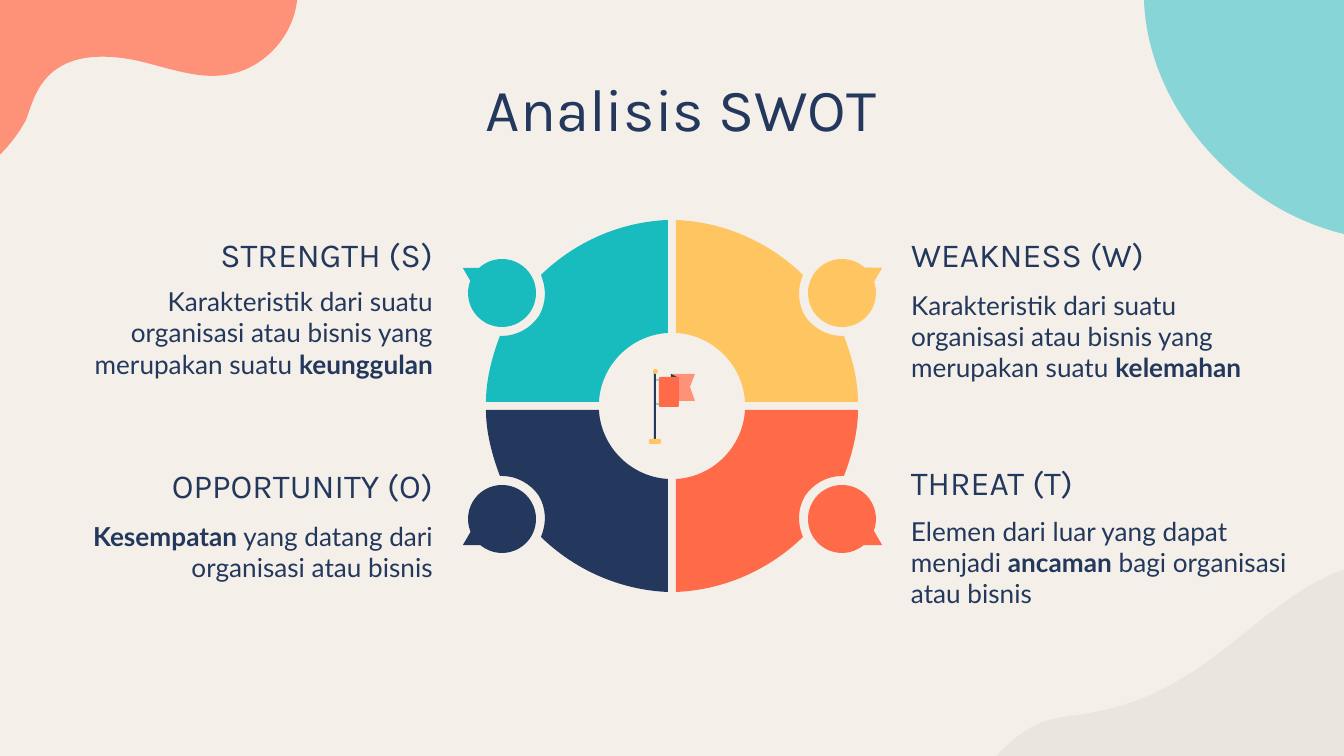
"""Build a SWOT analysis slide with a four-part ring around a flag."""
from dataclasses import dataclass

from pptx import Presentation
from pptx import util as u
from pptx.dml import color
from pptx.enum import shapes, text
from pptx.oxml import ns, xmlchemy

SCALE = 9144000 / 1344
CENTRE = (672, 406)
BADGE_X, BADGE_Y, BADGE = 170, 113, 68
TIP_X, TIP_Y, TIP_W, TIP_H = 198, 132, 31, 27
INSET = 13
KIND = shapes.MSO_SHAPE
ALIGN = text.PP_ALIGN
ANCHOR = text.MSO_ANCHOR


@dataclass(frozen=True)
class Theme:
    """Colours, fonts and type sizes."""
    paper: str = "F4F0E9"
    navy: str = "23385C"
    teal: str = "18BCBE"
    aqua: str = "87D5D6"
    yellow: str = "FFC561"
    orange: str = "FF6B48"
    coral: str = "FD9279"
    sand: str = "EBE6DD"
    head_font: str = "Karla"
    body_font: str = "Lato"
    title_size: int = 32
    head_size: int = 18
    body_size: int = 14


THEME = Theme()


@dataclass(frozen=True)
class Box:
    """A rectangle in px."""
    left: int
    top: int
    width: int
    height: int


@dataclass(frozen=True)
class Span:
    """A stretch of text of one weight."""
    words: str
    bold: bool = False


@dataclass(frozen=True)
class Quarter:
    """One part of the ring with its heading and description."""
    side: int
    level: int
    fill: str
    turn: int
    head: str
    head_box: Box
    body: tuple[Span, ...]
    body_box: Box


@dataclass(frozen=True)
class Outline:
    """A closed path whose steps are lines (2 numbers) or cubic curves (6)."""
    fill: str
    steps: tuple[tuple[int, ...], ...]


@dataclass(frozen=True)
class Part:
    """A preset shape."""
    kind: shapes.MSO_SHAPE
    box: Box
    fill: str


BLOBS = (
    Outline(THEME.coral, (
        (-38, 181), (-11, 169, 12, 146, 26, 120), (31, 106, 35, 92, 44, 81),
        (65, 54, 102, 54, 134, 60), (167, 67, 199, 81, 231, 74),
        (265, 67, 293, 36, 297, 1), (300, -23, 292, -47, 278, -67),
        (262, -90, 243, -106, 223, -122), (149, -179, 65, -220, -26, -250),
        (-233, -112))),
    Outline(THEME.aqua, (
        (1410, 242), (1426, 242, 1441, 241, 1454, 239),
        (1461, 238, 1469, 237, 1476, 235), (1476, -27), (1145, -27),
        (1138, 38, 1165, 116, 1234, 176), (1292, 227, 1356, 242, 1410, 242))),
    Outline(THEME.sand, (
        (1413, 558), (1471, 558, 1530, 581, 1568, 624),
        (1597, 653, 1617, 692, 1654, 711), (1676, 720, 1702, 723, 1724, 730),
        (1762, 742, 1796, 767, 1812, 801), (1830, 836, 1835, 877, 1824, 914),
        (968, 907), (958, 903), (943, 863, 956, 816, 980, 778),
        (995, 755, 1015, 734, 1040, 723), (1057, 716, 1077, 716, 1095, 712),
        (1122, 707, 1148, 698, 1172, 684), (1227, 655, 1270, 604, 1326, 577),
        (1353, 564, 1382, 558, 1413, 558))),
)
SECTOR = ((73, 4), (71, 41, 41, 71, 4, 73), (4, 186), (52, 184, 97, 164, 131, 131),
          (125, 117, 126, 102, 133, 90), (141, 78, 155, 70, 170, 70), (172, 70),
          (180, 49, 186, 26, 186, 4))
TRAIT = "Karakteristik dari suatu organisasi atau bisnis yang merupakan suatu "
QUARTERS = (
    Quarter(-1, 1, THEME.navy, 240, "OPPORTUNITY (O)", Box(47, 452, 399, 66),
            (Span("Kesempatan", True),
             Span(" yang datang dari organisasi atau bisnis")), Box(58, 514, 388, 75)),
    Quarter(1, 1, THEME.orange, 120, "THREAT (T)", Box(898, 449, 309, 66),
            (Span("Elemen dari luar yang dapat menjadi "), Span("ancaman", True),
             Span(" bagi organisasi atau bisnis")), Box(898, 513, 409, 98)),
    Quarter(1, -1, THEME.yellow, 60, "WEAKNESS (W)", Box(898, 221, 419, 66),
            (Span(TRAIT), Span("kelemahan", True)), Box(898, 283, 399, 106)),
    Quarter(-1, -1, THEME.teal, 300, "STRENGTH (S)", Box(58, 221, 388, 66),
            (Span(TRAIT), Span("keunggulan", True)), Box(47, 283, 399, 99)),
)
RIBBON = Outline(THEME.coral, ((671, 374), (671, 401), (695, 401), (690, 387), (695, 374)))
FOLD = Outline(THEME.navy, ((671, 374), (671, 379), (679, 379), (679, 378)))
FLAG = (
    Part(KIND.RECTANGLE, Box(655, 379, 5, 2), THEME.aqua),
    Part(KIND.RECTANGLE, Box(655, 403, 5, 2), THEME.aqua),
    Part(KIND.ROUNDED_RECTANGLE, Box(659, 377, 20, 30), THEME.orange),
    Part(KIND.RECTANGLE, Box(654, 372, 2, 68), THEME.navy),
    Part(KIND.ROUNDED_RECTANGLE, Box(649, 439, 12, 5), THEME.yellow),
    Part(KIND.OVAL, Box(653, 369, 5, 5), THEME.yellow),
)


def px(length: float) -> int:
    """Turn px into EMU."""
    return round(length * SCALE)


def paint(shape, fill: str) -> None:
    """Give a shape a flat fill with no line or shadow."""
    shape.shadow.inherit = False
    shape.fill.solid()
    shape.fill.fore_color.rgb = color.RGBColor.from_string(fill)
    shape.line.fill.background()


def draw_outline(page, outline: Outline) -> None:
    """Draw a closed path, joining each three curve points into one cubic."""
    start, *steps = outline.steps
    builder = page.shapes.build_freeform(px(start[0]), px(start[1]))
    for step in steps:
        points = [(px(x), px(y)) for x, y in zip(step[::2], step[1::2])]
        builder.add_line_segments(points, close=False)
    builder.add_line_segments([], close=True)
    shape = builder.convert_to_shape()
    lines = iter(list(shape.element.iter(ns.qn("a:lnTo"))))
    for step in steps:
        group = [next(lines) for _ in range(len(step) // 2)]
        if len(group) == 3:
            curve = xmlchemy.OxmlElement("a:cubicBezTo")
            group[0].addprevious(curve)
            for line in group:
                curve.append(line[0])
                line.getparent().remove(line)
    paint(shape, outline.fill)


def draw_preset(page, part: Part, turn: int = 0) -> None:
    """Draw a preset shape."""
    box = part.box
    shape = page.shapes.add_shape(
        part.kind, px(box.left), px(box.top), px(box.width), px(box.height))
    shape.rotation = turn
    paint(shape, part.fill)
    if part.kind == KIND.ROUNDED_RECTANGLE:
        shape.adjustments[0] = round(1.5 / min(box.width, box.height), 2)


def write(page, box: Box, spans, font: str, size: int, align, anchor) -> None:
    """Place a text box with one paragraph."""
    frame = page.shapes.add_textbox(
        px(box.left), px(box.top), px(box.width), px(box.height)).text_frame
    frame.word_wrap = True
    frame.vertical_anchor = anchor
    frame.margin_left = frame.margin_right = px(INSET)
    frame.margin_top = frame.margin_bottom = px(INSET)
    para = frame.paragraphs[0]
    para.alignment = align
    para.font.name = font
    para.font.size = u.Pt(size)
    para.font.color.rgb = color.RGBColor.from_string(THEME.navy)
    for span in spans:
        run = para.add_run()
        run.text = span.words
        if span.bold:
            run.font.bold = True


def draw_quarter(page, quarter: Quarter) -> None:
    """Draw a ring part with its badge and pointer."""
    flips = (quarter.side, quarter.level)

    def centred(kind, x: int, y: int, width: int, height: int) -> Part:
        """Place a shape by its offset from the ring centre."""
        left = CENTRE[0] + quarter.side * x - width // 2
        top = CENTRE[1] + quarter.level * y - height // 2
        return Part(kind, Box(left, top, width, height), quarter.fill)

    steps = tuple(tuple(CENTRE[i % 2] + flips[i % 2] * value for i, value in enumerate(step))
                  for step in SECTOR)
    draw_outline(page, Outline(quarter.fill, steps))
    draw_preset(page, centred(KIND.OVAL, BADGE_X, BADGE_Y, BADGE, BADGE))
    draw_preset(page, centred(KIND.ISOSCELES_TRIANGLE, TIP_X, TIP_Y, TIP_W, TIP_H),
                quarter.turn)


def write_quarter(page, quarter: Quarter) -> None:
    """Write the heading and description of a ring part."""
    align = ALIGN.RIGHT if quarter.side < 0 else ALIGN.LEFT
    write(page, quarter.head_box, (Span(quarter.head),), THEME.head_font,
          THEME.head_size, align, ANCHOR.BOTTOM)
    write(page, quarter.body_box, quarter.body, THEME.body_font,
          THEME.body_size, align, ANCHOR.MIDDLE)


def main() -> None:
    """Build and save the deck."""
    deck = Presentation()
    deck.slide_width, deck.slide_height = px(1344), px(756)
    page = deck.slides.add_slide(deck.slide_layouts[6])
    page.background.fill.solid()
    page.background.fill.fore_color.rgb = color.RGBColor.from_string(THEME.paper)
    for blob in BLOBS:
        draw_outline(page, blob)
    write(page, Box(183, 65, 997, 85), (Span("Analisis SWOT"),), THEME.head_font,
          THEME.title_size, ALIGN.CENTER, ANCHOR.MIDDLE)
    for draw in (draw_quarter, write_quarter):
        for quarter in QUARTERS:
            draw(page, quarter)
    draw_outline(page, RIBBON)
    draw_outline(page, FOLD)
    for part in FLAG:
        draw_preset(page, part)
    deck.save("out.pptx")


if __name__ == "__main__":
    main()
